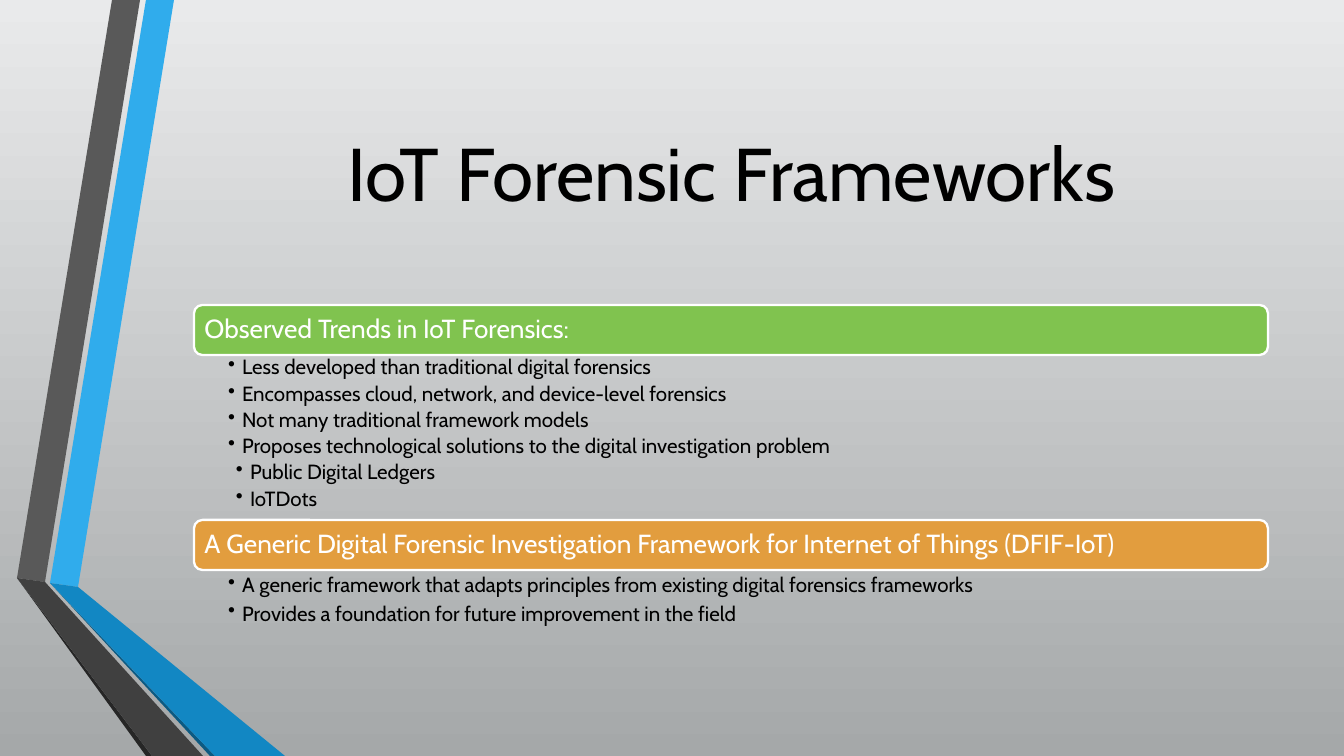
from dataclasses import dataclass

from lxml import etree
from pptx import Presentation
from pptx import util as u
from pptx.dml.color import RGBColor
from pptx.enum import shapes, text
from pptx.oxml.ns import qn

EMU_PER_PX = 914400 / 134.4


@dataclass(frozen=True)
class Theme:
    font: str = "Cabin"
    ink: str = "000000"
    white: str = "FFFFFF"
    sky_top: str = "E9EAEB"
    sky_bottom: str = "A5A8A9"
    blue: str = "30ACEC"
    blue_fold: str = "1287C3"
    blue_edge: str = "0C5A82"
    gray: str = "595959"
    gray_fold: str = "404040"
    gray_edge: str = "262626"
    green: str = "80C34F"
    orange: str = "E29D3E"
    title_pt: int = 40
    heading_pt: int = 14
    bullet_pt: int = 11
    outline_pt: float = 1.25


@dataclass(frozen=True)
class Ribbon:
    color: str
    points: tuple[tuple[int, int], ...]


@dataclass(frozen=True)
class Bullet:
    wording: str
    level: int = 0


@dataclass(frozen=True)
class Section:
    heading: str
    color: str
    top: int
    body_height: int
    line_spacing: float
    bullets: tuple[Bullet, ...]


THEME = Theme()
PAGE_WIDTH, PAGE_HEIGHT = 1344, 756
LEFT, WIDTH, BAR_HEIGHT = 194, 1074, 50
HANGING, LEVEL_STEP = 14, 8

# Corners where the upright ribbons fold
GRAY_LEFT, GRAY_RIGHT = (17, 578), (45, 582)
BLUE_LEFT, BLUE_RIGHT = (50, 583), (78, 587)

RIBBONS = (
    Ribbon(THEME.blue, (BLUE_LEFT, BLUE_RIGHT, (174, 0), (146, 0))),
    Ribbon(THEME.gray, (GRAY_LEFT, GRAY_RIGHT, (140, 0), (112, 0))),
    Ribbon(THEME.gray_edge, (GRAY_LEFT, (146, PAGE_HEIGHT), (152, PAGE_HEIGHT))),
    Ribbon(THEME.blue_edge, (BLUE_LEFT, (210, PAGE_HEIGHT), (215, PAGE_HEIGHT))),
    Ribbon(THEME.blue_fold, (BLUE_LEFT, (215, PAGE_HEIGHT), (285, PAGE_HEIGHT), BLUE_RIGHT)),
    Ribbon(THEME.gray_fold, (GRAY_LEFT, (152, PAGE_HEIGHT), (203, PAGE_HEIGHT), GRAY_RIGHT)),
)

SECTIONS = (
    Section("Observed Trends in IoT Forensics:", THEME.green, 305, 166, 0.9, (
        Bullet("Less developed than traditional digital forensics"),
        Bullet("Encompasses cloud, network, and device-level forensics"),
        Bullet("Not many traditional framework models"),
        Bullet("Proposes technological solutions to the digital investigation problem"),
        Bullet("Public Digital Ledgers", 1),
        Bullet("IoTDots", 1),
    )),
    Section("A Generic Digital Forensic Investigation Framework for Internet of Things (DFIF-IoT)",
            THEME.orange, 520, 60, 1.0, (
        Bullet("A generic framework that adapts principles from existing digital forensics frameworks"),
        Bullet("Provides a foundation for future improvement in the field"),
    )),
)


def px(length: int) -> int:
    return round(length * EMU_PER_PX)


def rgb(color: str) -> RGBColor:
    return RGBColor.from_string(color)


def set_font(para, size: int, color: str) -> None:
    para.font.name = THEME.font
    para.font.size = u.Pt(size)
    para.font.color.rgb = rgb(color)


def set_frame(frame, anchor, insets: tuple[int, int, int, int]) -> None:
    """Wrap the text and set its anchor and left, top, right, bottom insets."""
    frame.word_wrap = True
    frame.vertical_anchor = anchor
    (frame.margin_left, frame.margin_top,
     frame.margin_right, frame.margin_bottom) = map(px, insets)


def paint_background(page) -> None:
    fill = page.background.fill
    fill.gradient()
    fill.gradient_angle = 270
    for stop, color in zip(fill.gradient_stops, (THEME.sky_top, THEME.sky_bottom)):
        stop.color.rgb = rgb(color)


def draw_ribbon(page, ribbon: Ribbon) -> None:
    start, *others = ribbon.points
    builder = page.shapes.build_freeform(*start, scale=EMU_PER_PX)
    builder.add_line_segments(others, close=True)
    shape = builder.convert_to_shape()
    shape.shadow.inherit = False
    shape.fill.solid()
    shape.fill.fore_color.rgb = rgb(ribbon.color)
    shape.line.fill.background()


def draw_title(page, wording: str) -> None:
    box = page.shapes.add_textbox(px(LEFT), px(75), px(WIDTH), px(194))
    set_frame(box.text_frame, text.MSO_ANCHOR.MIDDLE, (12, 6, 12, 6))
    para = box.text_frame.paragraphs[0]
    para.text = wording
    para.alignment = text.PP_ALIGN.CENTER
    set_font(para, THEME.title_pt, THEME.ink)


def draw_heading(page, section: Section) -> None:
    bar = page.shapes.add_shape(shapes.MSO_SHAPE.ROUNDED_RECTANGLE, px(LEFT),
                                px(section.top), px(WIDTH), px(BAR_HEIGHT))
    bar.shadow.inherit = False
    bar.fill.solid()
    bar.fill.fore_color.rgb = rgb(section.color)
    bar.line.color.rgb = rgb(THEME.white)
    bar.line.width = u.Pt(THEME.outline_pt)
    set_frame(bar.text_frame, text.MSO_ANCHOR.MIDDLE, (8, 8, 8, 8))
    para = bar.text_frame.paragraphs[0]
    para.text = section.heading
    para.alignment = text.PP_ALIGN.LEFT
    para.line_spacing = 0.9
    set_font(para, THEME.heading_pt, THEME.white)


def add_bullet_mark(para, level: int) -> None:
    properties = para._p.get_or_add_pPr()
    properties.set("marL", str(px(HANGING + level * LEVEL_STEP)))
    properties.set("indent", str(-px(HANGING)))
    etree.SubElement(properties, qn("a:buChar")).set("char", "•")


def draw_bullets(page, section: Section) -> None:
    box = page.shapes.add_textbox(px(LEFT), px(section.top + BAR_HEIGHT),
                                  px(WIDTH), px(section.body_height))
    frame = box.text_frame
    set_frame(frame, text.MSO_ANCHOR.TOP, (34, 2, 14, 2))
    for index, bullet in enumerate(section.bullets):
        para = frame.add_paragraph() if index else frame.paragraphs[0]
        para.text = bullet.wording
        para.level = bullet.level
        add_bullet_mark(para, bullet.level)
        para.line_spacing = section.line_spacing
        para.space_after = u.Pt(0.2 * THEME.bullet_pt)
        set_font(para, THEME.bullet_pt, THEME.ink)


def main() -> None:
    deck = Presentation()
    deck.slide_width, deck.slide_height = px(PAGE_WIDTH), px(PAGE_HEIGHT)
    page = deck.slides.add_slide(deck.slide_layouts[6])
    paint_background(page)
    for ribbon in RIBBONS:
        draw_ribbon(page, ribbon)
    draw_title(page, "IoT Forensic Frameworks")
    for section in SECTIONS:
        draw_heading(page, section)
        draw_bullets(page, section)
    deck.save("out.pptx")


if __name__ == "__main__":
    main()
